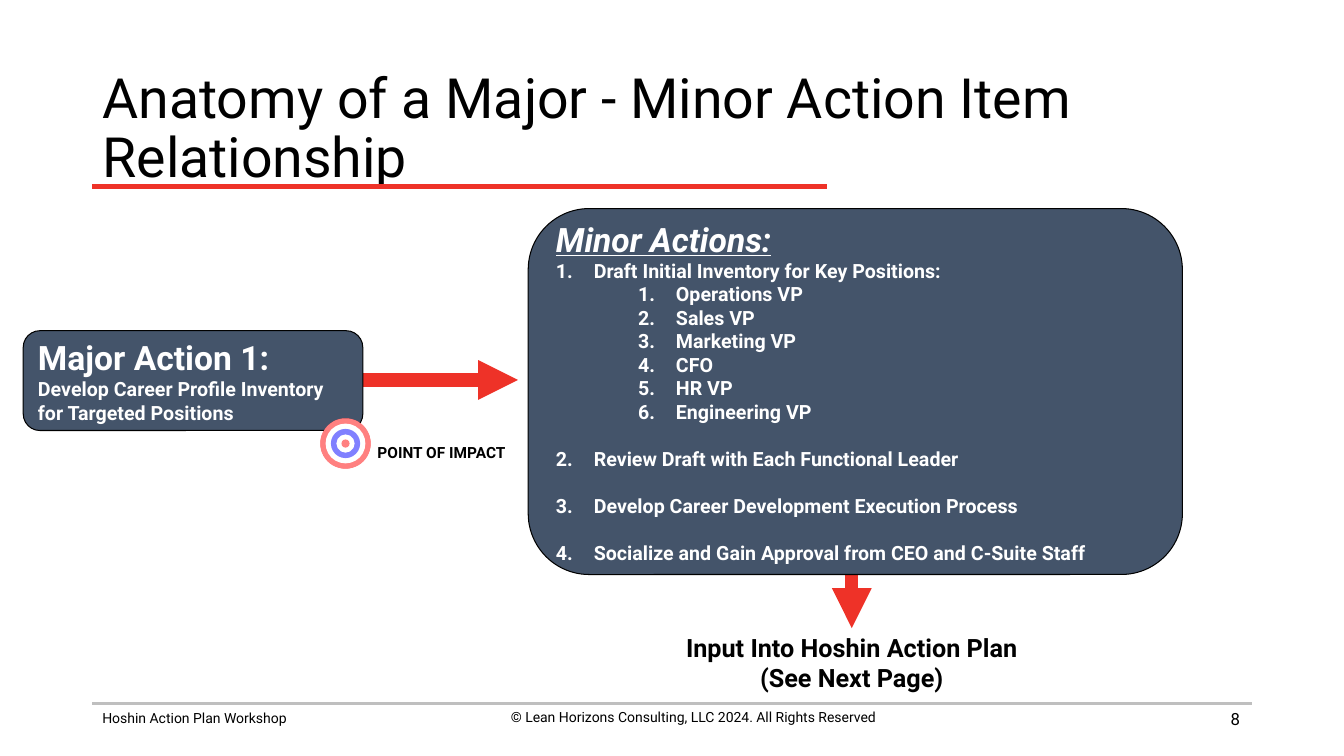
"""Build the slide on how a major action item relates to its minor actions."""
from dataclasses import dataclass

from lxml import etree
from pptx import Presentation
from pptx.dml.color import RGBColor
from pptx.enum.shapes import MSO_CONNECTOR, MSO_SHAPE
from pptx.enum.text import MSO_ANCHOR, MSO_AUTO_SIZE, PP_ALIGN
from pptx.oxml.ns import qn
from pptx.shapes.autoshape import Shape
from pptx.slide import Slide
from pptx.text.text import TextFrame
from pptx.util import Pt

STRAIGHT = MSO_CONNECTOR.STRAIGHT
ROUNDED, OVAL = MSO_SHAPE.ROUNDED_RECTANGLE, MSO_SHAPE.OVAL
TOP, MIDDLE = MSO_ANCHOR.TOP, MSO_ANCHOR.MIDDLE
LEFT, CENTER, RIGHT = PP_ALIGN.LEFT, PP_ALIGN.CENTER, PP_ALIGN.RIGHT
NO_AUTOFIT = MSO_AUTO_SIZE.NONE

BLACK = RGBColor(0x00, 0x00, 0x00)
WHITE = RGBColor(0xFF, 0xFF, 0xFF)
RED = RGBColor(0xEE, 0x32, 0x28)
GREY = RGBColor(0xBF, 0xBF, 0xBF)
SLATE = RGBColor(0x44, 0x54, 0x6A)
TARGET_RED = RGBColor(0xFF, 0x00, 0x00)
TARGET_BLUE = RGBColor(0x00, 0x00, 0xFF)
FONT = "Roboto"
LIST_SIZE = 14
HANGING = 27
SUBLIST_INDENT = 85.7


@dataclass(frozen=True)
class Box:
    """A rectangle in points."""
    left: float
    top: float
    width: float
    height: float


@dataclass(frozen=True)
class Line:
    """A straight line in points, with an optional arrowhead at its end."""
    start: tuple[float, float]
    end: tuple[float, float]
    color: RGBColor
    width: float
    arrow: bool = False


@dataclass(frozen=True)
class Paragraph:
    """One paragraph and its formatting; level is None outside a numbered list."""
    text: str
    size: float
    bold: bool = False
    emphasis: bool = False
    level: int | None = None
    space_before: float = 0


@dataclass(frozen=True)
class Label:
    """A text box with its paragraphs."""
    box: Box
    paragraphs: list[Paragraph]
    align: PP_ALIGN = LEFT
    anchor: MSO_ANCHOR = TOP


@dataclass(frozen=True)
class Card:
    """A rounded panel with its paragraphs."""
    box: Box
    paragraphs: list[Paragraph]


def list_item(text: str, level: int = 0, space_before: float = 0) -> Paragraph:
    """Return one numbered item of the minor actions."""
    return Paragraph(text, LIST_SIZE, True, level=level, space_before=space_before)


RULES = [
    Line((66, 502.4), (894, 502.4), GREY, 2),
    Line((66, 133.2), (590.4, 133.2), RED, 3),
]
ARROWS = [
    Line((608.4, 387.4), (608.4, 448.6), RED, 9.5, True),
    Line((229.7, 271.4), (370, 271.4), RED, 9.5, True),
]
LABELS = [
    Label(Box(66, 503.3, 328, 19.4), [Paragraph("Hoshin Action Plan Workshop", 10)]),
    Label(Box(331.2, 502.6, 328, 31.7),
          [Paragraph("© Lean Horizons Consulting, LLC 2024. All Rights Reserved", 10)],
          CENTER),
    Label(Box(676.8, 499, 216, 28.8), [Paragraph("8", 12)], RIGHT, MIDDLE),
    Label(Box(248.4, 313.2, 134, 20.2), [Paragraph("POINT OF IMPACT", 11, True)],
          CENTER, MIDDLE),
    Label(Box(481.7, 447.8, 253.4, 49.7),
          [Paragraph("Input Into Hoshin Action Plan", 18, True),
           Paragraph("(See Next Page)", 18, True)], CENTER),
]
POSITIONS = ["Operations VP", "Sales VP", "Marketing VP", "CFO", "HR VP", "Engineering VP"]
LATER_ACTIONS = [
    "Review Draft with Each Functional Leader",
    "Develop Career Development Execution Process",
    "Socialize and Gain Approval from CEO and C-Suite Staff",
]
CARDS = [
    Card(Box(16.6, 236.2, 242.6, 71.3),
         [Paragraph("Major Action 1:", 24, True),
          Paragraph("Develop Career Profile Inventory", 14, True),
          Paragraph("for Targeted Positions", 14, True)]),
    Card(Box(377.3, 149, 467.3, 261.4),
         [Paragraph("Minor Actions:", 24, True, True),
          list_item("Draft Initial Inventory for Key Positions:"),
          *[list_item(position, level=1) for position in POSITIONS],
          *[list_item(action, space_before=16.8) for action in LATER_ACTIONS]]),
]
TARGET_CENTER = (246.8, 316.8)
TARGET_RINGS = [(36, TARGET_RED), (28.4, WHITE), (20.9, TARGET_BLUE),
                (13, WHITE), (5.8, TARGET_RED)]
VEIL_OPACITY = 50000


def number_paragraph(properties: etree._Element, level: int) -> None:
    """Give a paragraph a hanging indent and an automatic number."""
    indent = SUBLIST_INDENT if level else HANGING
    properties.set("marL", str(Pt(indent)))
    properties.set("indent", str(-Pt(HANGING)))
    etree.SubElement(properties, qn("a:buFont")).set("typeface", "+mj-lt")
    etree.SubElement(properties, qn("a:buAutoNum")).set("type", "arabicPeriod")


def write_text(frame: TextFrame, paragraphs: list[Paragraph], color: RGBColor,
               align: PP_ALIGN, anchor: MSO_ANCHOR) -> None:
    """Fill a text frame with formatted paragraphs."""
    frame.word_wrap = True
    frame.auto_size = NO_AUTOFIT
    frame.vertical_anchor = anchor
    frame.text = "\n".join(item.text for item in paragraphs)
    for paragraph, item in zip(frame.paragraphs, paragraphs):
        paragraph.alignment = align
        if item.space_before:
            paragraph.space_before = Pt(item.space_before)
        if item.level is not None:
            paragraph.level = item.level
            number_paragraph(paragraph._p.get_or_add_pPr(), item.level)
        font = paragraph.runs[0].font
        font.name, font.size, font.bold = FONT, Pt(item.size), item.bold
        font.italic = font.underline = item.emphasis
        font.color.rgb = color


def add_line(slide: Slide, line: Line) -> None:
    """Draw a line or an arrow."""
    connector = slide.shapes.add_connector(
        STRAIGHT, *(Pt(value) for value in line.start + line.end))
    connector.line.color.rgb = line.color
    connector.line.width = Pt(line.width)
    if line.arrow:
        outline = connector.line._get_or_add_ln()
        etree.SubElement(outline, qn("a:tailEnd")).set("type", "triangle")
    etree.SubElement(connector._element.spPr, qn("a:effectLst"))


def add_filled(slide: Slide, kind: MSO_SHAPE, box: Box, color: RGBColor) -> Shape:
    """Draw a filled shape without outline or shadow."""
    shape = slide.shapes.add_shape(
        kind, Pt(box.left), Pt(box.top), Pt(box.width), Pt(box.height))
    shape.shadow.inherit = False
    shape.fill.solid()
    shape.fill.fore_color.rgb = color
    shape.line.fill.background()
    return shape


def add_label(slide: Slide, label: Label) -> None:
    """Draw a text box."""
    box = label.box
    shape = slide.shapes.add_textbox(
        Pt(box.left), Pt(box.top), Pt(box.width), Pt(box.height))
    write_text(shape.text_frame, label.paragraphs, BLACK, label.align, label.anchor)


def add_card(slide: Slide, card: Card) -> None:
    """Draw a rounded panel with white text."""
    shape = add_filled(slide, ROUNDED, card.box, SLATE)
    shape.line.color.rgb = BLACK
    shape.line.width = Pt(0.75)
    write_text(shape.text_frame, card.paragraphs, WHITE, LEFT, MIDDLE)


def add_disc(slide: Slide, diameter: float, color: RGBColor) -> Shape:
    """Draw one disc around the centre of the target."""
    left, top = (center - diameter / 2 for center in TARGET_CENTER)
    return add_filled(slide, OVAL, Box(left, top, diameter, diameter), color)


def add_target(slide: Slide) -> None:
    """Draw the target and the translucent veil over it."""
    for diameter, color in TARGET_RINGS:
        add_disc(slide, diameter, color)
    veil = add_disc(slide, TARGET_RINGS[0][0], WHITE)
    veil_color = veil._element.spPr.find(qn("a:solidFill"))[0]
    etree.SubElement(veil_color, qn("a:alpha")).set("val", str(VEIL_OPACITY))


def add_title(slide: Slide) -> None:
    """Place and format the title."""
    title = slide.shapes.title
    title.left, title.top, title.width, title.height = Pt(66), Pt(53.3), Pt(828), Pt(79.2)
    heading = Paragraph("Anatomy of a Major - Minor Action Item Relationship", 39.6)
    write_text(title.text_frame, [heading], BLACK, LEFT, MIDDLE)
    title.text_frame.paragraphs[0].line_spacing = 0.9


def main() -> None:
    """Build and save the presentation."""
    presentation = Presentation()
    presentation.slide_width, presentation.slide_height = Pt(960), Pt(540)
    slide = presentation.slides.add_slide(presentation.slide_layouts[5])
    add_title(slide)
    for line in RULES + ARROWS:
        add_line(slide, line)
    for label in LABELS:
        add_label(slide, label)
    for card in CARDS:
        add_card(slide, card)
    add_target(slide)
    presentation.save("out.pptx")


if __name__ == "__main__":
    main()
